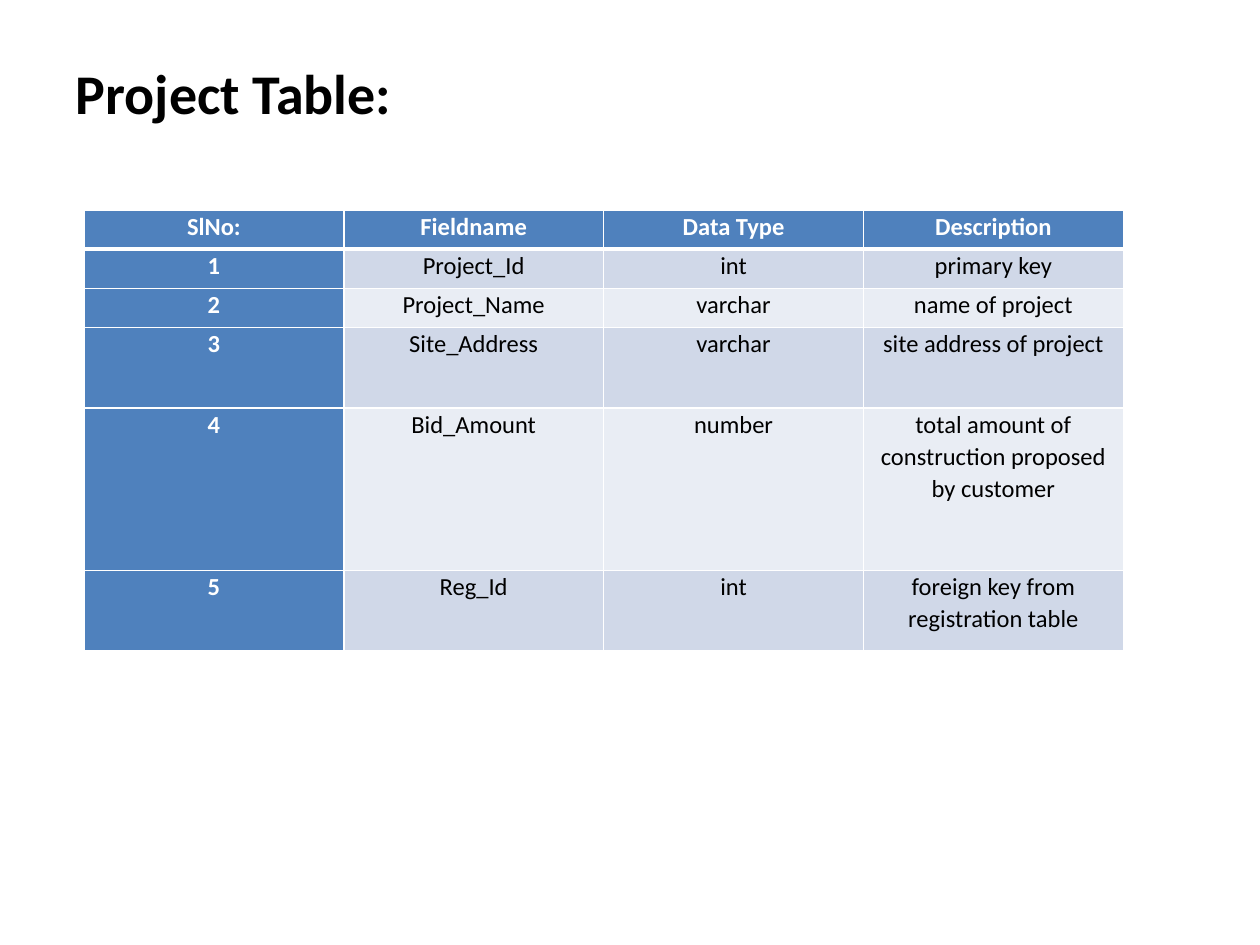
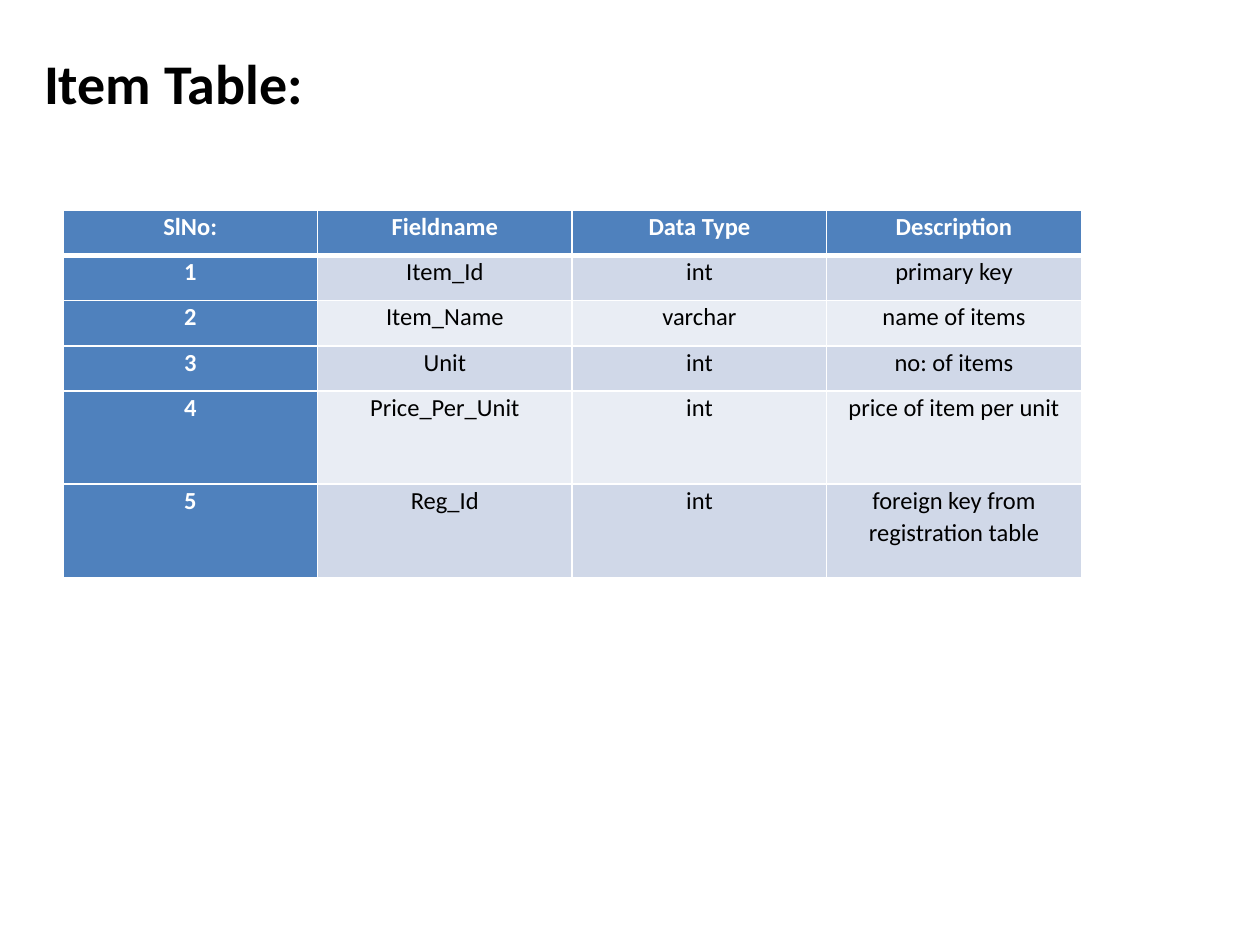
import dataclasses

import pptx
import pptx.dml.color
import pptx.enum.text
import pptx.oxml
import pptx.oxml.ns
import pptx.util

Pt = pptx.util.Pt
RGB = pptx.dml.color.RGBColor.from_string


@dataclasses.dataclass(frozen=True)
class Theme:
    """Colours, type and line widths shared by the slides."""
    font: str = "Calibri"
    title: float = 32
    body: float = 14
    ink: str = "000000"
    paper: str = "FFFFFF"
    head: str = "4F81BD"
    bands: tuple = ("D0D8E8", "E9EDF4")
    rule: float = 1
    thick: float = 3


THEME = Theme()
HEADS = ("SlNo:", "Fieldname", "Data Type", "Description")

PROJECT = (
    ("Project_Id", "int", "primary key"),
    ("Project_Name", "varchar", "name of project"),
    ("Site_Address", "varchar", "site address of project"),
    ("Bid_Amount", "number", "total amount of construction proposed by customer"),
    ("Reg_Id", "int", "foreign key from registration table"),
)
ITEM = (
    ("Item_Id", "int", "primary key"),
    ("Item_Name", "varchar", "name of items"),
    ("Unit", "int", "no: of items"),
    ("Price_Per_Unit", "int", "price of item per unit"),
    ("Reg_Id", "int", "foreign key from registration table"),
)


def style(para, size, color, bold):
    """Format every run of a paragraph."""
    for run in para.runs:
        font = run.font
        font.name, font.size, font.bold = THEME.font, Pt(size), bold
        font.color.rgb = RGB(color)


def add_title(slide, text, box):
    """Fill and place the title, left aligned at the top of its box."""
    shape = slide.shapes.title
    shape.left, shape.top, shape.width, shape.height = map(Pt, box)
    frame = shape.text_frame
    frame.text = text
    frame.word_wrap = True
    frame.auto_size = pptx.enum.text.MSO_AUTO_SIZE.NONE
    frame.vertical_anchor = pptx.enum.text.MSO_ANCHOR.TOP
    para = frame.paragraphs[0]
    para.alignment = pptx.enum.text.PP_ALIGN.LEFT
    style(para, THEME.title, THEME.ink, True)


def add_rules(cell, top, bottom):
    """Draw the four borders of a cell; they precede its fill in the XML."""
    widths = {"lnL": THEME.rule, "lnR": THEME.rule, "lnT": top, "lnB": bottom}
    props = cell._tc.get_or_add_tcPr()
    for place, (tag, width) in enumerate(widths.items()):
        line = pptx.oxml.parse_xml(
            f'<a:{tag} {pptx.oxml.ns.nsdecls("a")} w="{Pt(width)}"><a:solidFill>'
            f'<a:srgbClr val="{THEME.paper}"/></a:solidFill></a:{tag}>')
        props.insert(place, line)


def fill_cell(cell, text, row, col):
    """Set the text, fill and borders of a cell by its place in the grid."""
    strong = row == 0 or col == 0
    cell.text_frame.text = text
    cell.margin_left = cell.margin_right = Pt(5)
    cell.margin_top = cell.margin_bottom = 0
    para = cell.text_frame.paragraphs[0]
    para.alignment = pptx.enum.text.PP_ALIGN.CENTER
    para.line_spacing = 1.07
    style(para, THEME.body, THEME.paper if strong else THEME.ink, strong)
    cell.fill.solid()
    fill = THEME.head if strong else THEME.bands[(row - 1) % 2]
    cell.fill.fore_color.rgb = RGB(fill)
    add_rules(cell, THEME.thick if row == 1 else THEME.rule,
              THEME.thick if row == 0 else THEME.rule)


def add_grid(slide, fields, left, top, width, heights):
    """Add a numbered table of fields with equal columns."""
    rows = [HEADS] + [(str(n), *field) for n, field in enumerate(fields, 1)]
    table = slide.shapes.add_table(
        len(rows), len(HEADS), Pt(left), Pt(top), Pt(width), Pt(sum(heights))).table
    for col in table.columns:
        col.width = Pt(width / len(HEADS))
    for r, (texts, height) in enumerate(zip(rows, heights)):
        table.rows[r].height = Pt(height)
        for c, text in enumerate(texts):
            fill_cell(table.cell(r, c), text, r, c)


def add_page(deck, title, box, fields, left, width, heights):
    """Add a slide with a title and a table of fields."""
    slide = deck.slides.add_slide(deck.slide_layouts[5])
    add_title(slide, title, box)
    add_grid(slide, fields, left, 120, width, heights)


def main():
    """Build and save the deck."""
    deck = pptx.Presentation()
    deck.slide_width, deck.slide_height = Pt(720), Pt(540)
    add_page(deck, "Project Table:", (36, 30, 648, 452), PROJECT,
             48, 594, [22.4] * 3 + [46, 92.8, 46])
    add_page(deck, "Item Table:", (18, 24, 666, 458), ITEM,
             36, 582, [25.9] * 4 + [53.2] * 2)
    deck.save("out.pptx")


main()
